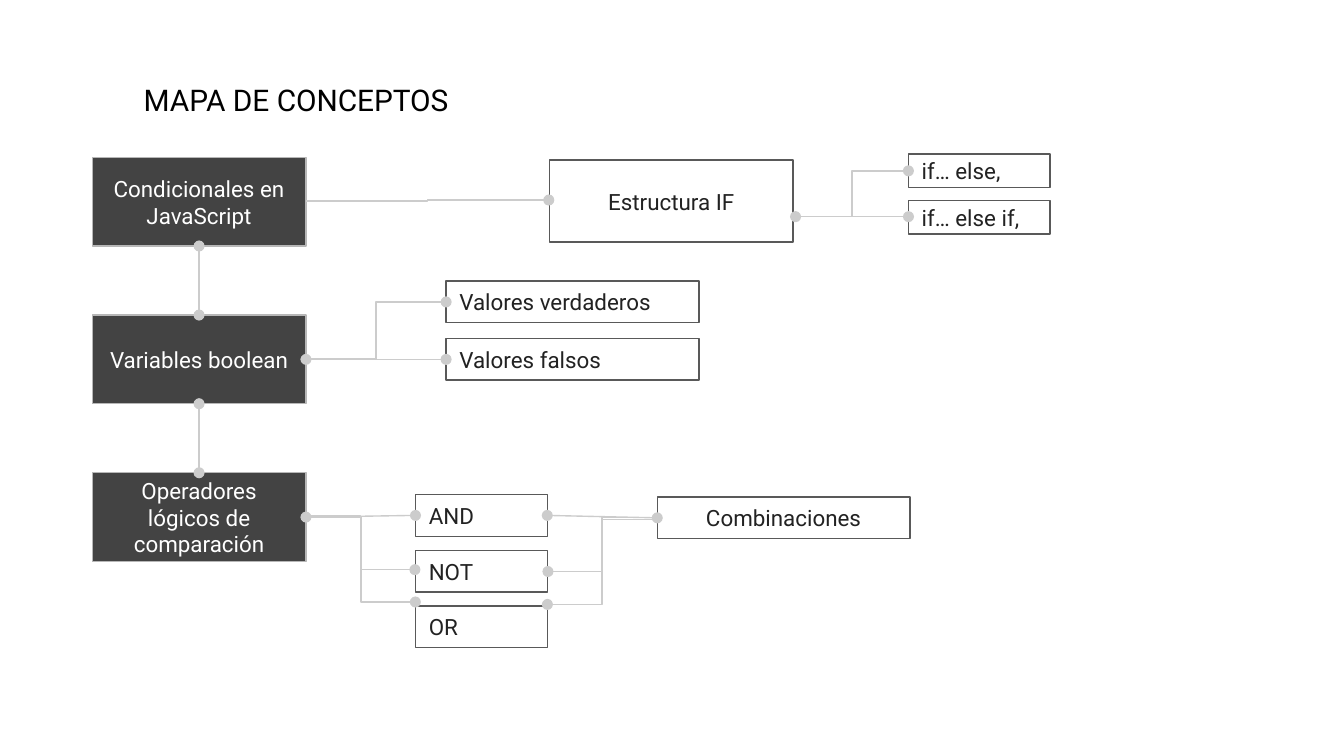
from dataclasses import dataclass

from lxml.etree import SubElement
from pptx import Presentation
from pptx.dml.color import RGBColor
from pptx.enum.shapes import MSO_CONNECTOR, MSO_SHAPE
from pptx.enum.text import MSO_ANCHOR, MSO_AUTO_SIZE, PP_ALIGN
from pptx.oxml.ns import qn
from pptx.util import Pt


@dataclass(frozen=True)
class Theme:
    font: str = "Roboto"
    title_size: float = 16
    body_size: float = 12
    line_width: float = 0.75
    inset: float = 7.2
    title: str = "000000"
    dark: str = "434343"
    dark_edge: str = "B7B7B7"
    dark_text: str = "FFFFFF"
    light_edge: str = "595959"
    light_text: str = "222222"
    link: str = "CCCCCC"


@dataclass(frozen=True)
class Box:
    text: str
    x: float
    y: float
    w: float
    h: float
    dark: bool = False
    centred: bool = False


@dataclass(frozen=True)
class Join:
    start: str
    start_side: int
    end: str
    end_side: int


@dataclass(frozen=True)
class Line:
    x1: float
    y1: float
    x2: float
    y2: float
    bent: bool = True


THEME = Theme()
TOP, LEFT, BOTTOM, RIGHT = range(4)
TOPICS = ["Condicionales en JavaScript", "Variables boolean", "Operadores lógicos de comparación"]
VALUES = ["Valores verdaderos", "Valores falsos"]
OPERATORS = ["AND", "NOT", "OR"]
BRANCHES = ["if… else,", "if… else if,"]

BOXES = [
    *(Box(t, 49.4, 84.3 + 84.5 * i, 114.5, 47.5, True, True) for i, t in enumerate(TOPICS)),
    Box("Estructura IF", 294.5, 85.8, 130.3, 43.9, centred=True),
    *(Box(t, 239, 150.5 + 30.9 * i, 135.4, 22.3) for i, t in enumerate(VALUES)),
    *(Box(t, 222.6, 265 + 29.8 * i, 70.6, 22.3) for i, t in enumerate(OPERATORS)),
    *(Box(t, 486.7, 82.6 + 24.7 * i, 75.8, 18) for i, t in enumerate(BRANCHES)),
    Box("Combinaciones", 352.1, 266.3, 135.4, 22.3, centred=True),
]
JOINS = [
    Join(TOPICS[1], TOP, TOPICS[0], BOTTOM),
    Join(TOPICS[2], TOP, TOPICS[1], BOTTOM),
    Join(TOPICS[1], RIGHT, VALUES[1], LEFT),
    Join(TOPICS[2], RIGHT, OPERATORS[0], LEFT),
    Join("Combinaciones", LEFT, OPERATORS[0], RIGHT),
]
LINES = [
    Line(426.2, 116.1, 486.7, 116.1, bent=False),
    Line(426.2, 116.1, 486.7, 91.6),
    Line(164, 107.7, 294, 107.2),
    Line(163.9, 192.4, 239, 161.8),
    Line(164.3, 276.4, 222.3, 305.2),
    Line(164.3, 277, 222.5, 322.5),
    Line(351.6, 277.4, 293.6, 306.2),
    Line(351.8, 278.2, 293.3, 323.8),
]


def assign(target, values: dict) -> None:
    for name, value in values.items():
        setattr(target, name, value)


def write(sp, text: str, size: float, color: str, align, anchor) -> None:
    tf = sp.text_frame
    sides = ("left", "right", "top", "bottom")
    assign(tf, {f"margin_{side}": Pt(THEME.inset) for side in sides})
    assign(tf, {"word_wrap": True, "auto_size": MSO_AUTO_SIZE.NONE, "vertical_anchor": anchor})
    p = tf.paragraphs[0]
    p.alignment = align
    r = p.add_run()
    r.text = text
    assign(r.font, {"name": THEME.font, "size": Pt(size), "bold": False})
    r.font.color.rgb = RGBColor.from_string(color)


def draw_box(s, box: Box):
    sp = s.shapes.add_shape(MSO_SHAPE.RECTANGLE, Pt(box.x), Pt(box.y), Pt(box.w), Pt(box.h))
    sp.shadow.inherit = False
    if box.dark:
        sp.fill.solid()
        sp.fill.fore_color.rgb = RGBColor.from_string(THEME.dark)
    else:
        sp.fill.background()
    sp.line.color.rgb = RGBColor.from_string(THEME.dark_edge if box.dark else THEME.light_edge)
    sp.line.width = Pt(THEME.line_width)
    write(sp, box.text, THEME.body_size, THEME.dark_text if box.dark else THEME.light_text,
          PP_ALIGN.CENTER if box.centred else PP_ALIGN.LEFT, MSO_ANCHOR.MIDDLE)
    return sp


def draw_line(s, line: Line):
    kind = MSO_CONNECTOR.ELBOW if line.bent else MSO_CONNECTOR.STRAIGHT
    c = s.shapes.add_connector(kind, Pt(line.x1), Pt(line.y1), Pt(line.x2), Pt(line.y2))
    c.line.color.rgb = RGBColor.from_string(THEME.link)
    c.line.width = Pt(THEME.line_width)
    ln = c.line._get_or_add_ln()
    for tag in ("a:tailEnd",) if line.bent else ("a:headEnd", "a:tailEnd"):
        SubElement(ln, qn(tag), type="oval")
    SubElement(c._element.spPr, qn("a:effectLst"))
    return c


def draw_join(s, join: Join, shapes: dict) -> None:
    c = draw_line(s, Line(0, 0, 0, 0, bent=False))
    c.begin_connect(shapes[join.start], join.start_side)
    c.end_connect(shapes[join.end], join.end_side)


def main() -> None:
    prs = Presentation()
    assign(prs, {"slide_width": Pt(720), "slide_height": Pt(405)})
    s = prs.slides.add_slide(prs.slide_layouts[5])
    title = s.shapes.title
    assign(title, {"left": Pt(69.8), "top": Pt(36.7), "width": Pt(193.7), "height": Pt(33.8)})
    write(title, "MAPA DE CONCEPTOS", THEME.title_size, THEME.title, PP_ALIGN.LEFT, MSO_ANCHOR.TOP)
    shapes = {box.text: draw_box(s, box) for box in BOXES}
    for join in JOINS:
        draw_join(s, join, shapes)
    for line in LINES:
        draw_line(s, line)
    prs.save("out.pptx")


if __name__ == "__main__":
    main()
